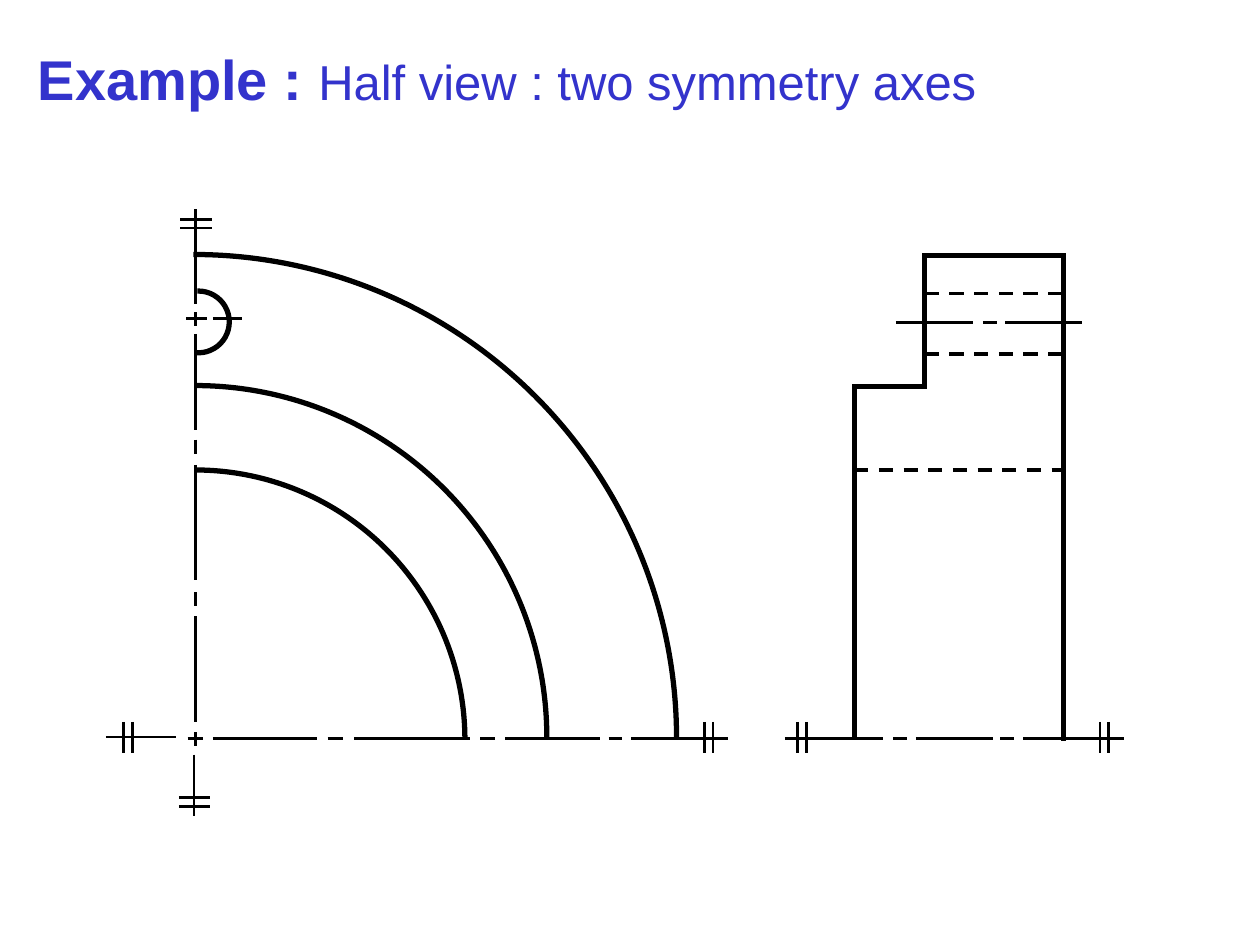
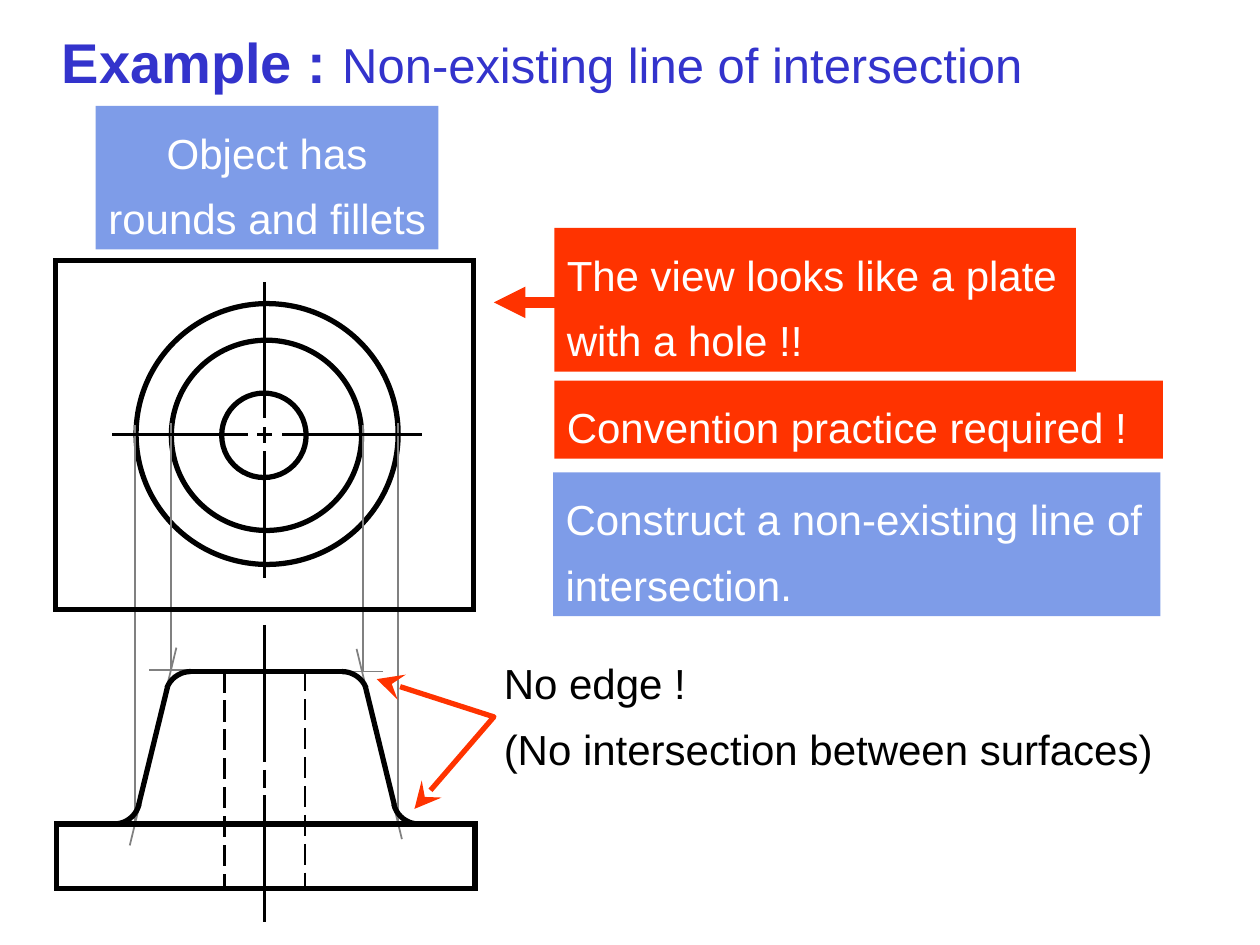
from dataclasses import dataclass

from lxml import etree
from pptx import Presentation
from pptx import util as u
from pptx.dml.color import RGBColor
from pptx.enum import dml, shapes, text
from pptx.oxml.ns import qn

PX = 9144  # EMU per px: 100 px to the inch


@dataclass(frozen=True)
class Theme:
    font: str = "Arial"
    title: str = "3333CC"
    ink: str = "000000"
    guide: str = "808080"
    alert: str = "FF3300"
    note: str = "7E9CE8"
    light: str = "FFFFFF"
    lead_size: int = 32
    title_size: int = 28
    body_size: int = 24
    outline: float = 3
    hidden: float = 2
    axis: float = 1.5
    fine: float = 1
    pointer: float = 6


THEME = Theme()
LEAD = "Example : "
DASH = dml.MSO_LINE.DASH
LONG_DASH = dml.MSO_LINE.LONG_DASH

# ---- Slide 1: half view ----
HALF_TITLE = ("Half view : two symmetry axes", (20, 30, 860, 64))
SIDE_PROFILE = [(678, 585), (678, 307), (734, 307), (734, 203), (844, 203), (844, 588)]
HIDDEN_EDGES = [(734, 846, 233), (734, 846, 281), (678, 842, 373)]  # x1, x2, y
# Centre lines: level, then the spans along it
HORIZONTAL_AXES = [
    (256, [(711, 772), (780, 791), (798, 859)]),
    (586, [(623, 701), (709, 720), (727, 788), (794, 805), (812, 892)]),
    (586, [(149, 161), (169, 252), (260, 272), (281, 373), (381, 393),
           (401, 476), (483, 494), (501, 578)]),
    (585, [(84, 140)]),
    (253, [(148, 164), (169, 192)]),
]
VERTICAL_AXES = [
    (155, [(166, 241), (248, 259), (265, 341), (349, 360), (369, 460),
           (470, 481), (489, 573), (581, 592)]),
    (154, [(599, 648)]),
]
# Symmetry marks: first stroke of each pair; the second lies MARK_GAP further on
MARK_GAP, MARK_LENGTH = 7, 25
UPRIGHT_MARKS = [(98, 573), (559, 573), (633, 573), (873, 573)]
FLAT_MARKS = [(143, 174), (142, 633)]
# Arcs: left, top, diameter, start angle, end angle
FLANGE_ARCS = [(-230, 202, 767, 270, 0), (-124, 306, 558, 270, 0),
               (-59, 373, 428, 270, 0), (133, 231, 49, 268, 94)]

# ---- Slide 2: line of intersection ----
INTERSECTION_TITLE = ("Non-existing line of intersection", (39, 17, 860, 64))
GUIDES = [
    (319, 666, 310, 629), (103, 671, 112, 634), (304, 533, 270, 533),
    (292, 552, 283, 515), (152, 532, 118, 532), (131, 551, 140, 514),
    (136, 532, 136, 336), (288, 533, 288, 337),
    (107, 654, 107, 337), (316, 653, 316, 336),
]
TOP_CIRCLES = [(108, 241, 208, 207), (136, 270, 151, 151), (176, 312, 67, 67)]
PLATES = [(44, 207, 332, 277), (45, 654, 332, 51)]
BOSS_EDGES = [(313, 639, 290, 545), (110, 639, 133, 545), (150, 533, 272, 533)]
ROUNDS = [(251, 533, 41, 270, 338), (312, 613, 41, 90, 167),
          (131, 533, 41, 202, 270), (70, 613, 41, 13, 90)]
HOLE_EDGES = [(178, 533, 178, 707), (242, 532, 242, 707)]
BOSS_HORIZONTAL = [(345, [(89, 197), (204, 216), (224, 335)])]
BOSS_VERTICAL = [(210, [(224, 332), (339, 352), (358, 459),
                        (496, 605), (611, 625), (631, 732)])]
EDGE_POINTER = [(299, 539), (392, 569), (329, 642)]
VIEW_POINTER = (442, 240, 392, 240)
# Paragraphs, box, fill, text colour, centred
NOTES = [
    (["The view looks like a plate", "with a hole !!"],
     (440, 181, 414, 114), THEME.alert, THEME.light, False),
    (["Object has", "rounds and fillets"],
     (76, 84, 272, 114), THEME.note, THEME.light, True),
    (["No edge !", "(No intersection between surfaces)"],
     (390, 505, 544, 114), None, THEME.ink, False),
    (["Convention practice required !"],
     (440, 302, 483, 62), THEME.alert, THEME.light, False),
    (["Construct a non-existing line of intersection."],
     (439, 375, 482, 114), THEME.note, THEME.light, False),
]


def emu(lengths):
    return [u.Emu(length * PX) for length in lengths]


def style_line(shape, color=THEME.ink, width=THEME.outline, dash=None):
    shape.line.color.rgb = RGBColor.from_string(color)
    shape.line.width = u.Pt(width)
    if dash:
        shape.line.dash_style = dash


def extend_line(shape, tag, **attributes):
    """Add a join or an arrowhead to the line of a shape."""
    outline = shape.line._get_or_add_ln()
    element = etree.SubElement(outline, qn(f"a:{tag}"))
    for name, value in attributes.items():
        element.set(name, value)


def add_line(slide, ends, color=THEME.ink, width=THEME.axis, dash=None):
    line = slide.shapes.add_connector(shapes.MSO_CONNECTOR.STRAIGHT, *emu(ends))
    style_line(line, color, width, dash)
    etree.SubElement(line._element.spPr, qn("a:effectLst"))
    return line


def add_axes(slide, horizontal, vertical):
    for y, spans in horizontal:
        for start, end in spans:
            add_line(slide, (start, y, end, y))
    for x, spans in vertical:
        for start, end in spans:
            add_line(slide, (x, start, x, end))


def add_outline(slide, kind, box):
    shape = slide.shapes.add_shape(kind, *emu(box))
    shape.shadow.inherit = False
    shape.fill.background()
    style_line(shape)
    return shape


def add_arc(slide, left, top, diameter, start, end):
    arc = add_outline(slide, shapes.MSO_SHAPE.ARC, (left, top, diameter, diameter))
    for index, angle in enumerate((start, end)):
        arc.adjustments[index] = angle * 0.6  # 60000 units a degree, over 100000


def add_polyline(slide, points, color=THEME.ink):
    builder = slide.shapes.build_freeform(*points[0], scale=PX)
    builder.add_line_segments(points[1:], close=False)
    shape = builder.convert_to_shape()
    shape.shadow.inherit = False
    shape.fill.background()
    style_line(shape, color)
    return shape


def format_run(run, size, color, bold=False):
    run.font.name = THEME.font
    run.font.size = u.Pt(size)
    run.font.bold = bold
    run.font.color.rgb = RGBColor.from_string(color)


def set_frame(frame, wrap):
    frame.word_wrap = wrap
    frame.auto_size = text.MSO_AUTO_SIZE.SHAPE_TO_FIT_TEXT
    frame.vertical_anchor = text.MSO_ANCHOR.TOP


def add_titled_slide(presentation, title, box):
    slide = presentation.slides.add_slide(presentation.slide_layouts[5])
    shape = slide.shapes.title
    shape.left, shape.top, shape.width, shape.height = emu(box)
    set_frame(shape.text_frame, wrap=True)
    paragraph = shape.text_frame.paragraphs[0]
    paragraph.alignment = text.PP_ALIGN.LEFT
    for words, size, bold in ((LEAD, THEME.lead_size, True),
                              (title, THEME.title_size, False)):
        run = paragraph.add_run()
        run.text = words
        format_run(run, size, THEME.title, bold)
    return slide


def add_note(slide, lines, box, fill, color, centred):
    if fill:
        shape = slide.shapes.add_shape(shapes.MSO_SHAPE.RECTANGLE, *emu(box))
        shape.shadow.inherit = False
        shape.fill.solid()
        shape.fill.fore_color.rgb = RGBColor.from_string(fill)
        shape.line.fill.background()
    else:
        shape = slide.shapes.add_textbox(*emu(box))
    frame = shape.text_frame
    set_frame(frame, wrap=not centred)
    frame.text = "\n".join(lines)
    for paragraph in frame.paragraphs:
        paragraph.alignment = text.PP_ALIGN.CENTER if centred else text.PP_ALIGN.LEFT
        paragraph.line_spacing = 1.3
        format_run(paragraph.runs[0], THEME.body_size, color)


def build_half_view(presentation):
    slide = add_titled_slide(presentation, *HALF_TITLE)
    # Side view
    extend_line(add_polyline(slide, SIDE_PROFILE), "miter", lim="800000")
    for start, end, y in HIDDEN_EDGES:
        add_line(slide, (start, y, end, y), width=THEME.hidden, dash=DASH)
    # Front view and centre lines
    for arc in FLANGE_ARCS:
        add_arc(slide, *arc)
    add_axes(slide, HORIZONTAL_AXES, VERTICAL_AXES)
    # Symmetry marks
    for offset in (0, MARK_GAP):
        for x, y in UPRIGHT_MARKS:
            add_line(slide, (x + offset, y, x + offset, y + MARK_LENGTH))
        for x, y in FLAT_MARKS:
            add_line(slide, (x, y + offset, x + MARK_LENGTH, y + offset))


def build_intersection(presentation):
    slide = add_titled_slide(presentation, *INTERSECTION_TITLE)
    # Top view with its projection lines
    for circle in TOP_CIRCLES:
        add_outline(slide, shapes.MSO_SHAPE.OVAL, circle)
    for guide in GUIDES:
        add_line(slide, guide, THEME.guide, THEME.fine)
    for plate in PLATES:
        shape = add_outline(slide, shapes.MSO_SHAPE.RECTANGLE, plate)
        extend_line(shape, "miter", lim="800000")
    # Front view
    for edge in BOSS_EDGES:
        add_line(slide, edge, width=THEME.outline)
    for arc in ROUNDS:
        add_arc(slide, *arc)
    for edge in HOLE_EDGES:
        add_line(slide, edge, dash=LONG_DASH)
    add_axes(slide, BOSS_HORIZONTAL, BOSS_VERTICAL)
    # Notes and pointers
    for note in NOTES:
        add_note(slide, *note)
    pointer = add_polyline(slide, EDGE_POINTER, THEME.alert)
    for end in ("headEnd", "tailEnd"):
        extend_line(pointer, end, type="stealth", w="lg", len="lg")
    arrow = add_line(slide, VIEW_POINTER, THEME.alert, THEME.pointer)
    extend_line(arrow, "tailEnd", type="triangle")


def main():
    presentation = Presentation()
    presentation.slide_width, presentation.slide_height = emu((1000, 750))
    build_half_view(presentation)
    build_intersection(presentation)
    presentation.save("out.pptx")


if __name__ == "__main__":
    main()
